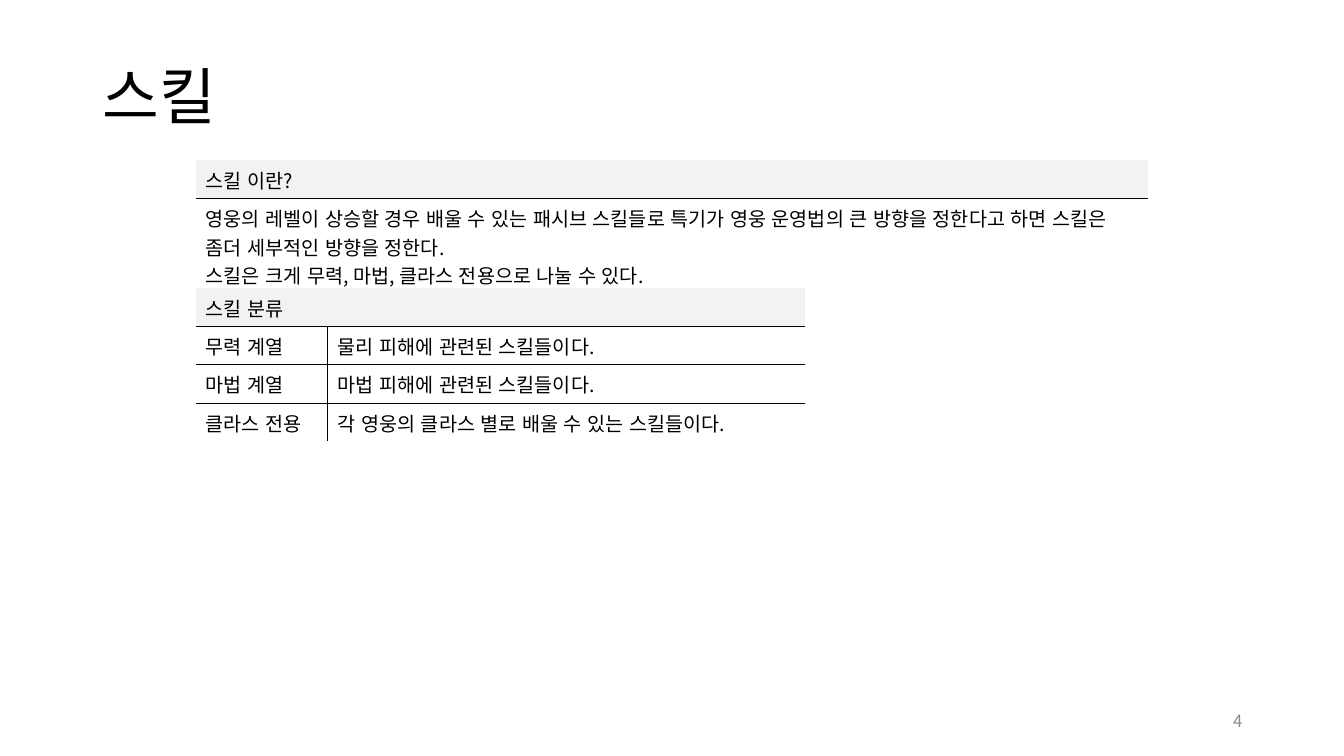
import pptx
import pptx.util
import pptx.dml.color
import pptx.enum.text
import pptx.oxml
import pptx.oxml.ns
import lxml.etree

Inches = pptx.util.Inches
Pt = pptx.util.Pt
RGBColor = pptx.dml.color.RGBColor
ALIGN = pptx.enum.text.PP_ALIGN
MIDDLE = pptx.enum.text.MSO_ANCHOR.MIDDLE
qn = pptx.oxml.ns.qn

BLACK = RGBColor(0x00, 0x00, 0x00)
GRAY = RGBColor(0x8C, 0x8C, 0x8C)
PALE = RGBColor(0xF2, 0xF2, 0xF2)
FACE = "Noto Sans CJK KR"
PLAIN = "{2D5ABB26-0587-4C30-8999-92F81FD0307C}"
ROW = 0.38

TITLE = "스킬"
PAGE = "4"
TABLES = [
    {
        "at": (1.94, 1.59),
        "cols": [9.45],
        "rows": [
            ["스킬 이란?"],
            ["영웅의 레벨이 상승할 경우 배울 수 있는 패시브 스킬들로 특기가 영웅 운영법의 큰 방향을 "
             "정한다고 하면 스킬은 좀더 세부적인 방향을 정한다.\n"
             "스킬은 크게 무력, 마법, 클라스 전용으로 나눌 수 있다."],
        ],
    },
    {
        "at": (1.94, 2.86),
        "cols": [1.31, 4.73],
        "rows": [
            ["스킬 분류", ""],
            ["무력 계열", "물리 피해에 관련된 스킬들이다."],
            ["마법 계열", "마법 피해에 관련된 스킬들이다."],
            ["클라스 전용", "각 영웅의 클라스 별로 배울 수 있는 스킬들이다."],
        ],
    },
]


def write(frame, text, size, color, **form):
    frame.text = text
    for para in frame.paragraphs:
        for key, value in form.items():
            setattr(para, key, value)
        for run in para.runs:
            look = {"name": FACE, "size": Pt(size), "bold": False}
            for key, value in look.items():
                setattr(run.font, key, value)
            run.font.color.rgb = color
            props = run._r.get_or_add_rPr()
            props.set("lang", "ko-KR")
            lxml.etree.SubElement(props, qn("a:ea")).set("typeface", FACE)


def rule(cell, sides):
    props = cell._tc.get_or_add_tcPr()
    for side in sides:
        line = lxml.etree.SubElement(props, qn("a:ln" + side))
        line.set("w", str(Pt(1)))
        fill = lxml.etree.SubElement(line, qn("a:solidFill"))
        lxml.etree.SubElement(fill, qn("a:srgbClr")).set("val", str(BLACK))


def grid(slide, data):
    cols, rows = data["cols"], data["rows"]
    left, top = data["at"]
    frame = slide.shapes.add_table(
        len(rows), len(cols), Inches(left), Inches(top),
        Inches(sum(cols)), Inches(ROW * len(rows)))
    table = frame.table
    table.first_row = table.horz_banding = False
    table._tbl.tblPr.find(qn("a:tableStyleId")).text = PLAIN
    for col, width in zip(table.columns, cols):
        col.width = Inches(width)
    for r, texts in enumerate(rows):
        table.rows[r].height = Inches(ROW)
        for c, text in enumerate(texts):
            cell = table.cell(r, c)
            write(cell.text_frame, text, 14, BLACK)
            sides = [
                ("L", r > 0 and c > 0),
                ("R", r > 0 and c < len(cols) - 1),
                ("T", r > 0),
                ("B", r < len(rows) - 1),
            ]
            rule(cell, [side for side, drawn in sides if drawn])
            if r == 0:
                cell.fill.solid()
                cell.fill.fore_color.rgb = PALE
            else:
                cell.fill.background()
    if len(cols) > 1:
        table.cell(0, 0).merge(table.cell(0, len(cols) - 1))


def main():
    deck = pptx.Presentation()
    deck.slide_width, deck.slide_height = Inches(13.33), Inches(7.5)
    slide = deck.slides.add_slide(deck.slide_layouts[5])

    title = slide.shapes.title
    spot = {"left": 0.92, "top": 0.4, "width": 11.5, "height": 1.17}
    for key, value in spot.items():
        setattr(title, key, Inches(value))
    title.text_frame.vertical_anchor = MIDDLE
    write(title.text_frame, TITLE, 44, BLACK,
          alignment=ALIGN.LEFT, line_spacing=0.9)

    page = slide.shapes.add_textbox(
        Inches(9.42), Inches(6.95), Inches(3), Inches(0.4))
    page.text_frame.word_wrap = True
    page.text_frame.vertical_anchor = MIDDLE
    write(page.text_frame, PAGE, 12, GRAY, alignment=ALIGN.RIGHT)

    for data in TABLES:
        grid(slide, data)
    deck.save("out.pptx")


if __name__ == "__main__":
    main()
